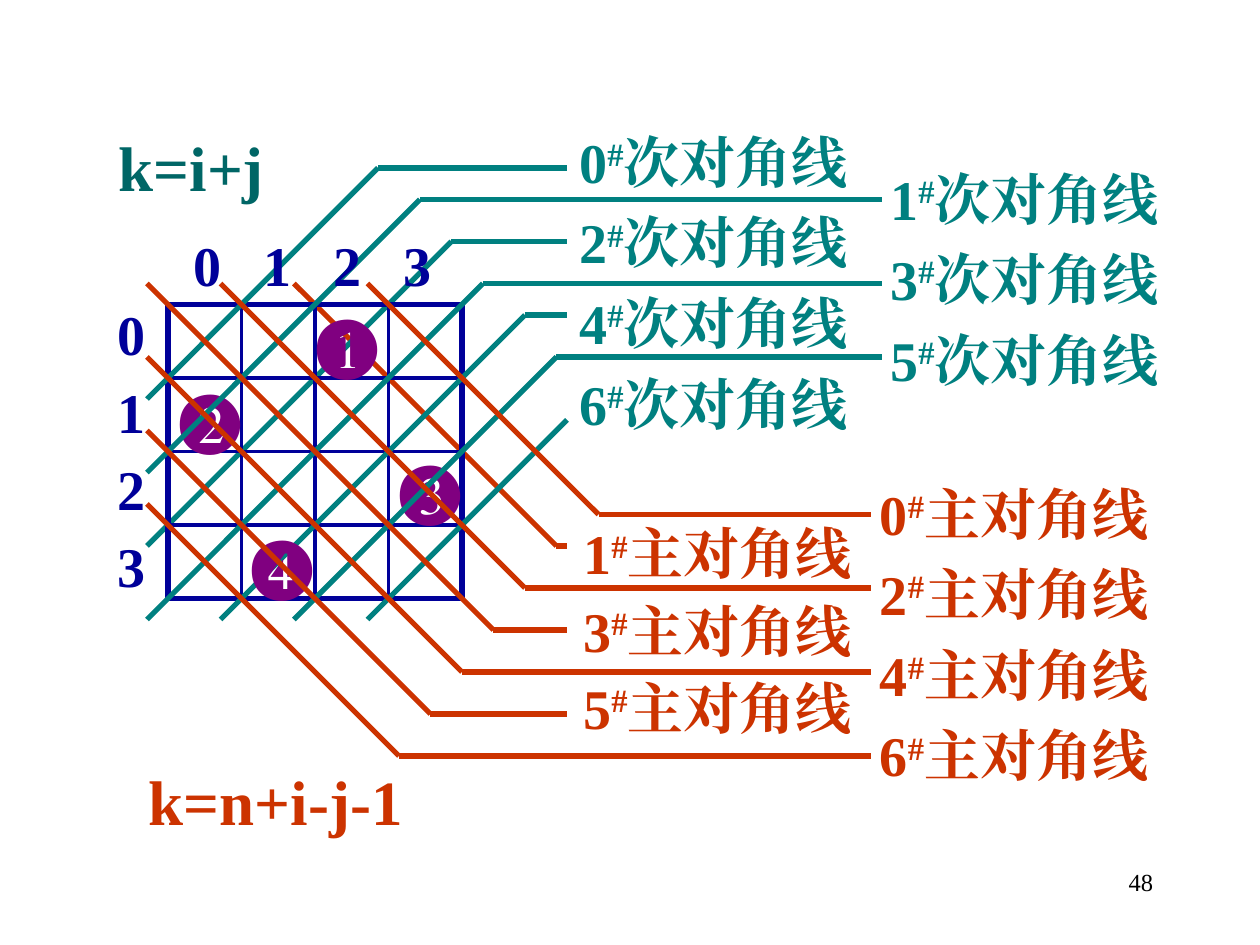
from lxml.etree import SubElement
from pptx import Presentation
from pptx.dml.color import RGBColor
from pptx.enum.shapes import MSO_CONNECTOR
from pptx.enum.text import PP_ALIGN
from pptx.oxml.ns import qn
from pptx.util import Pt

SCALE = 9525
CELL = 56
COUNT = 4
FONT = "Times New Roman"
COLORS = {
    "anti": "008080",
    "main": "CC3300",
    "grid": "000099",
    "queen": "800080",
    "formula": "006666",
    "number": "000000",
}
ANTI_BENDS = [128, 152, 184, 216, 240, 272, 320]
MAIN_BENDS = [392, 416, 448, 480, 512, 544, 576]
QUEENS = [("❶", 232, 223), ("❷", 127, 280), ("❸", 295, 334), ("❹", 182, 391)]


def px(value):
    return round(value * SCALE)


def add_line(slide, start, end, color, weight=3):
    line = slide.shapes.add_connector(
        MSO_CONNECTOR.STRAIGHT, *map(px, (*start, *end)))
    line.line.color.rgb = RGBColor.from_string(COLORS[color])
    line.line.width = Pt(weight)
    SubElement(line._element.spPr, qn("a:effectLst"))


def style_span(span, size, color, bold):
    span.font.name = FONT
    span.font.size = Pt(size)
    span.font.bold = bold
    span.font.color.rgb = RGBColor.from_string(COLORS[color])
    east_asian = SubElement(span.font._element, qn("a:ea"))
    east_asian.set("typeface", FONT)


def add_text(slide, box, lines, size, color, bold=True, spacing=None, wrap=False):
    shape = slide.shapes.add_textbox(*map(px, box))
    frame = shape.text_frame
    frame.word_wrap = wrap
    frame.text = "\n".join(lines)
    for para in frame.paragraphs:
        if spacing:
            para.line_spacing = spacing
        for span in para.runs:
            style_span(span, size, color, bold)
    return frame


def add_labels(slide, box, numbers, name, color, spacing):
    shape = slide.shapes.add_textbox(*map(px, box))
    frame = shape.text_frame
    frame.word_wrap = True
    for index, number in enumerate(numbers):
        para = frame.add_paragraph() if index else frame.paragraphs[0]
        para.line_spacing = spacing
        for part in (str(number), "#", name):
            span = para.add_run()
            span.text = part
            style_span(span, 32, color, True)
            if part == "#":
                span.font._element.set("baseline", "30000")


def add_grid(slide, left, top):
    side = CELL * COUNT
    for index in range(COUNT + 1):
        weight = 3 if index in (0, COUNT) else 2.25
        step = index * CELL
        add_line(slide, (left, top + step), (left + side, top + step), "grid", weight)
        add_line(slide, (left + step, top), (left + step, top + side), "grid", weight)


def add_headers(slide, column_box, row_box):
    digits = [str(index) for index in range(COUNT)]
    frame = add_text(slide, column_box, ["\t".join(digits)], 32, "grid", wrap=True)
    properties = frame.paragraphs[0]._p.get_or_add_pPr()
    tabs = SubElement(properties, qn("a:tabLst"))
    for index in range(1, COUNT):
        tab = SubElement(tabs, qn("a:tab"))
        tab.set("pos", str(Pt(40 * index)))
        tab.set("algn", "l")
    add_text(slide, row_box, digits, 32, "grid", spacing=1.15)


def add_leader(slide, start, bend, end_x, color):
    add_line(slide, start, bend, color)
    if bend[0] != end_x:
        add_line(slide, bend, (end_x, bend[1]), color)


def add_anti_diagonal(slide, left, top, k):
    last = COUNT - 1
    x = left - 16 + CELL * max(0, k - last)
    y = top + 72 + CELL * min(k, last)
    bend_y = ANTI_BENDS[k]
    add_leader(slide, (x, y), (x + y - bend_y, bend_y), 672 if k % 2 else 432, "anti")


def add_main_diagonal(slide, left, top, k):
    last = COUNT - 1
    x = left - 16 + CELL * max(0, last - k)
    y = top - 16 + CELL * max(0, k - last)
    bend_y = MAIN_BENDS[k]
    add_leader(slide, (x, y), (x + bend_y - y, bend_y), 432 if k % 2 else 664, "main")


def add_queens(slide, queens):
    for symbol, left, top in queens:
        add_text(slide, (left, top, 67, 74), [symbol], 40, "queen", bold=False)


def add_board(slide, left, top):
    add_main_diagonal(slide, left, top, 1)
    add_anti_diagonal(slide, left, top, 2)
    add_grid(slide, left, top)
    add_queens(slide, QUEENS[:3])
    for k in (0, 1, 3, 4, 5, 6):
        add_anti_diagonal(slide, left, top, k)
    for k in (0, 2, 4, 6):
        add_main_diagonal(slide, left, top, k)
    add_queens(slide, QUEENS[3:])
    for k in (3, 5):
        add_main_diagonal(slide, left, top, k)
    add_headers(slide, (left + 10, top - 61, 222, 60), (left - 48, top - 16, 40, 245))


def main():
    deck = Presentation()
    deck.slide_width, deck.slide_height = px(960), px(720)
    slide = deck.slides.add_slide(deck.slide_layouts[6])
    add_board(slide, 128, 232)
    even, odd = range(0, 7, 2), range(1, 7, 2)
    add_labels(slide, (432, 82, 245, 255), even, "次对角线", "anti", 1.2)
    add_labels(slide, (669, 110, 253, 194), odd, "次对角线", "anti", 1.2)
    add_labels(slide, (661, 350, 264, 255), even, "主对角线", "main", 1.2)
    add_labels(slide, (435, 383, 252, 186), odd, "主对角线", "main", 1.15)
    add_text(slide, (81, 93, 132, 68), ["k=i+j"], 36, "formula")
    add_text(slide, (104, 576, 215, 68), ["k=n+i-j-1"], 36, "main")
    number = add_text(slide, (688, 656, 200, 48), ["48"], 14, "number", bold=False, wrap=True)
    number.paragraphs[0].alignment = PP_ALIGN.RIGHT
    deck.save("out.pptx")


if __name__ == "__main__":
    main()
